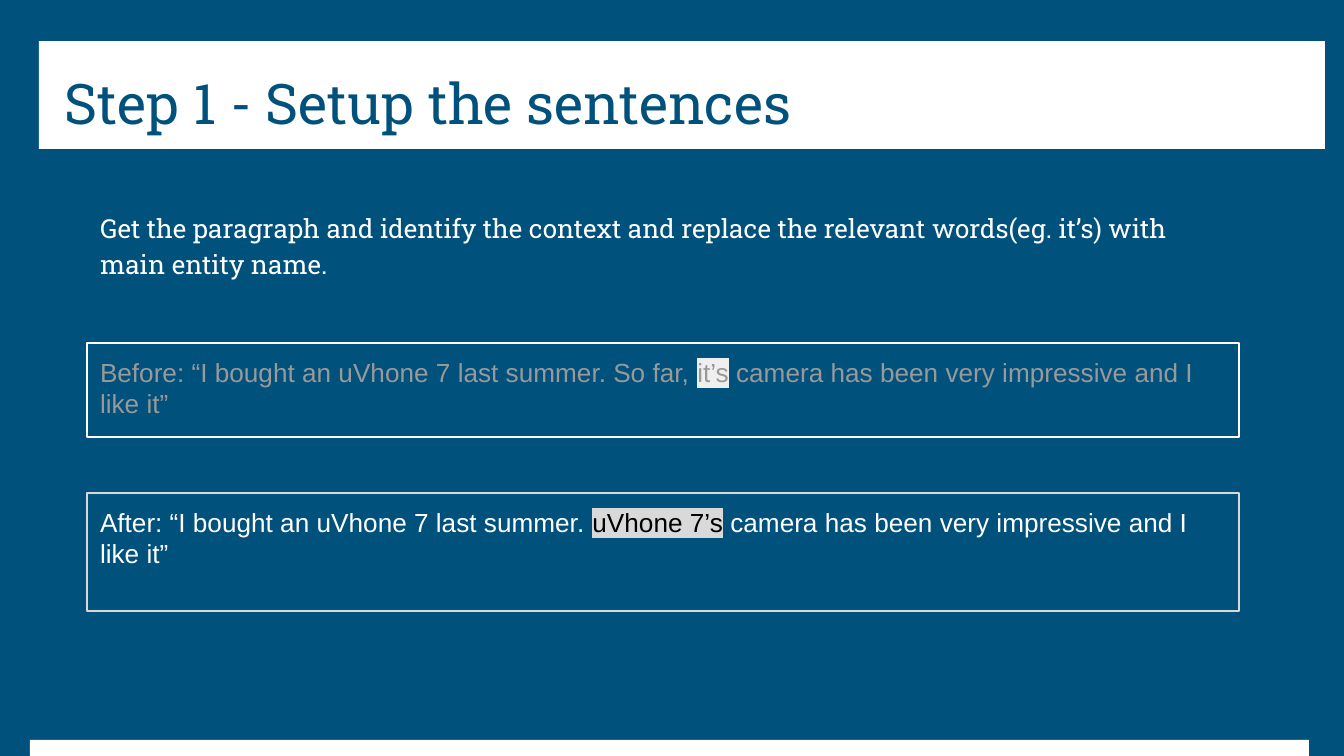
from lxml import etree
from pptx import Presentation
from pptx.dml.color import RGBColor
from pptx.enum.shapes import MSO_SHAPE
from pptx.enum.text import MSO_ANCHOR, MSO_AUTO_SIZE, PP_ALIGN
from pptx.oxml.ns import qn
from pptx.util import Emu, Pt

RECTANGLE = MSO_SHAPE.RECTANGLE
TOP, BOTTOM = MSO_ANCHOR.TOP, MSO_ANCHOR.BOTTOM
NO_FIT = MSO_AUTO_SIZE.NONE
LEFT = PP_ALIGN.LEFT

BLUE = RGBColor(0x00, 0x51, 0x7C)
WHITE = RGBColor(0xFF, 0xFF, 0xFF)
BLACK = RGBColor(0x00, 0x00, 0x00)
GREY = RGBColor(0x99, 0x99, 0x99)
PALE = RGBColor(0xEF, 0xEF, 0xEF)
SILVER = RGBColor(0xD9, 0xD9, 0xD9)

SLAB, SANS = "Roboto Slab", "Arial"
INSET = 13


def px(length):
    """Turn pixels into EMU at 134.4 pixels to the inch."""
    return Emu(round(length * 914400 / 134.4))


def place(shape, box):
    """Move a shape to a (left, top, width, height) box."""
    shape.left, shape.top, shape.width, shape.height = map(px, box)


def set_frame(frame, anchor, left_inset=INSET):
    """Give a text frame its wrapping, anchor and insets."""
    frame.word_wrap = True
    frame.auto_size = NO_FIT
    frame.vertical_anchor = anchor
    frame.margin_left = px(left_inset)
    frame.margin_top = frame.margin_right = frame.margin_bottom = px(INSET)


def set_para(para, font, size):
    """Left-align a paragraph and set its font."""
    para.alignment = LEFT
    para.font.name = font
    para.font.size = Pt(size)


def add_bar(page, box):
    """Add a plain white bar."""
    bar = page.shapes.add_shape(RECTANGLE, *map(px, box))
    bar.shadow.inherit = False
    bar.fill.solid()
    bar.fill.fore_color.rgb = WHITE
    bar.line.fill.background()
    return bar


def add_heading(page, box, text):
    """Set the title on a white bar."""
    left, top, width, height = box
    bar = add_bar(page, box)
    title = page.shapes.title
    title.element.addprevious(bar.element)
    place(title, (left, top, width - 34, height))
    title.text_frame.text = text
    set_frame(title.text_frame, BOTTOM, 2 * INSET)
    para = title.text_frame.paragraphs[0]
    set_para(para, SLAB, 30)
    para.font.color.rgb = BLUE


def add_instruction(page, box, text):
    """Write the instruction into the body placeholder without a bullet."""
    body = page.placeholders[1]
    place(body, box)
    body.text_frame.text = text
    set_frame(body.text_frame, TOP)
    para = body.text_frame.paragraphs[0]
    set_para(para, SLAB, 14)
    para.font.color.rgb = WHITE
    para.line_spacing = 1.15
    para.space_before = Pt(0)
    properties = para._p.get_or_add_pPr()
    properties.set("marL", "0")
    properties.set("indent", "0")
    bullet = etree.Element(qn("a:buNone"))
    properties.find(qn("a:defRPr")).addprevious(bullet)


def highlight(span, color):
    """Put a highlight colour behind a run."""
    mark = etree.SubElement(span._r.get_or_add_rPr(), qn("a:highlight"))
    etree.SubElement(mark, qn("a:srgbClr"), val=str(color))


def add_example(page, box, outline, spans):
    """Add an outlined sentence of (text, colour, highlight) spans."""
    panel = page.shapes.add_shape(RECTANGLE, *map(px, box))
    panel.shadow.inherit = False
    panel.fill.background()
    panel.line.color.rgb = outline
    panel.line.width = Pt(0.75)
    set_frame(panel.text_frame, TOP)
    para = panel.text_frame.paragraphs[0]
    set_para(para, SANS, 14)
    for text, color, backing in spans:
        span = para.add_run()
        span.text = text
        span.font.color.rgb = color
        if backing is not None:
            highlight(span, backing)


def main():
    """Build the slide and save it."""
    deck = Presentation()
    deck.slide_width, deck.slide_height = px(1344), px(756)
    page = deck.slides.add_slide(deck.slide_layouts[1])
    page.background.fill.solid()
    page.background.fill.fore_color.rgb = BLUE

    add_heading(page, (39, 41, 1286, 108), "Step 1 - Setup the sentences")
    add_instruction(
        page,
        (87, 195, 1103, 133),
        "Get the paragraph and identify the context and replace the "
        "relevant words(eg. it’s) with main entity name.",
    )
    add_bar(page, (30, 740, 1279, 16))

    opening = "“I bought an uVhone 7 last summer. "
    ending = " camera has been very impressive and I like it”"
    add_example(page, (87, 343, 1152, 94), WHITE, [
        ("Before: " + opening + "So far, ", GREY, None),
        ("it’s", GREY, PALE),
        (ending, GREY, None),
    ])
    add_example(page, (87, 493, 1152, 118), SILVER, [
        ("After: " + opening, WHITE, None),
        ("uVhone 7’s", BLACK, SILVER),
        (ending, WHITE, None),
    ])
    deck.save("out.pptx")


if __name__ == "__main__":
    main()
